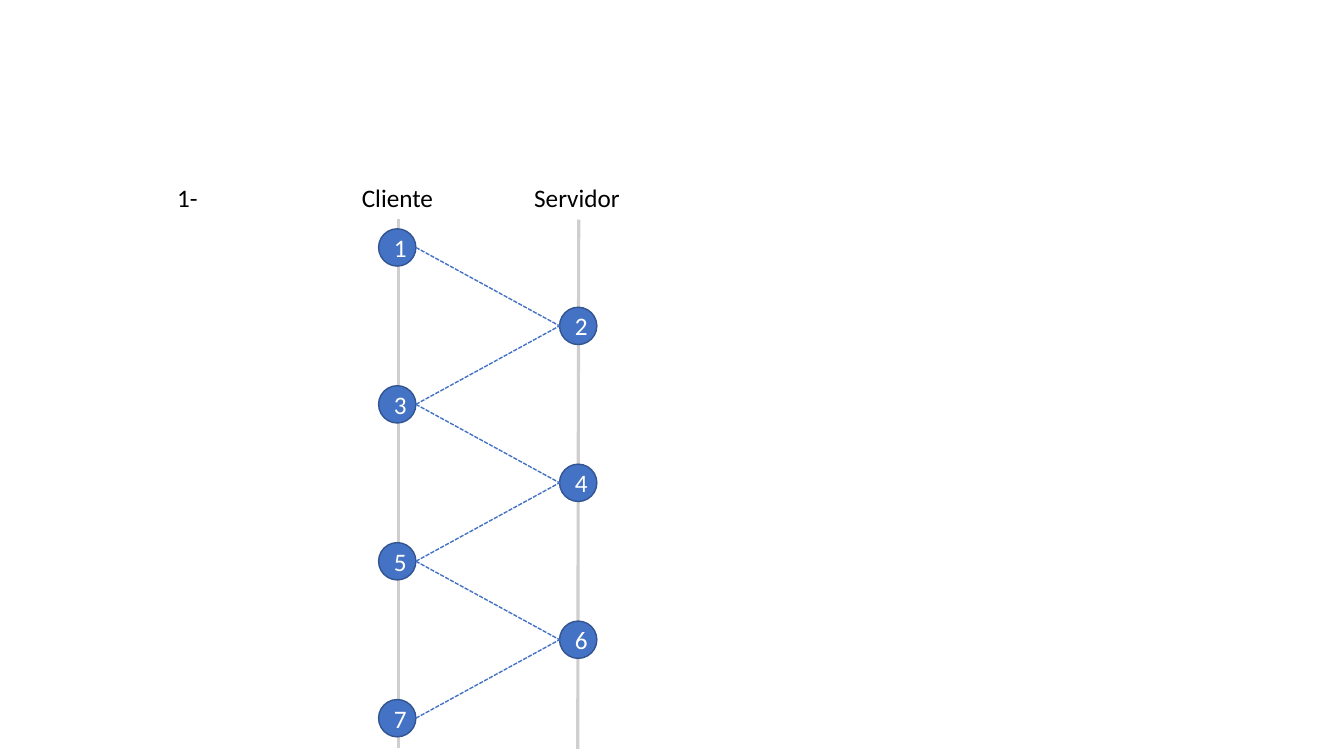
from dataclasses import dataclass
from itertools import pairwise

from pptx import Presentation
from pptx.dml.color import RGBColor
from pptx.enum.dml import MSO_LINE_DASH_STYLE as DASH
from pptx.enum.shapes import MSO_CONNECTOR, MSO_SHAPE
from pptx.enum.text import MSO_ANCHOR, MSO_AUTO_SIZE, PP_ALIGN
from pptx.oxml.ns import qn
from pptx.util import Inches, Pt


@dataclass(frozen=True)
class Theme:
    font: str = "Calibri"
    size: int = 18
    text: str = "000000"
    step_text: str = "FFFFFF"
    step_fill: str = "4472C4"
    step_line: str = "325491"
    lifeline: str = "D0CECE"


THEME = Theme()
DIAMETER = 0.37
CLIENT_X, SERVER_X = 3.94, 5.735  # centres of the two columns
FIRST_Y, LAST_Y = 2.455, 7.125  # centres of the first and last step
STEP_COUNT = 7


def style_text(box, text, color, align):
    para = box.text_frame.paragraphs[0]
    para.alignment = align
    span = para.add_run()
    span.text = text
    formats = {"name": THEME.font, "size": Pt(THEME.size)}
    for name, value in formats.items():
        setattr(span.font, name, value)
    span.font.color.rgb = RGBColor.from_string(color)


def add_label(page, text, left, width):
    box = page.shapes.add_textbox(Inches(left), Inches(1.76), Inches(width), Inches(0.4))
    formats = {"word_wrap": False, "auto_size": MSO_AUTO_SIZE.SHAPE_TO_FIT_TEXT}
    for name, value in formats.items():
        setattr(box.text_frame, name, value)
    style_text(box, text, THEME.text, PP_ALIGN.LEFT)


def add_line(page, start, end, color, width, dash=None):
    points = [Inches(value) for value in (*start, *end)]
    line = page.shapes.add_connector(MSO_CONNECTOR.STRAIGHT, *points)
    line.line.color.rgb = RGBColor.from_string(color)
    line.line.width = Pt(width)
    if dash:
        line.line.dash_style = dash
    properties = line._element.spPr
    properties.append(properties.makeelement(qn("a:effectLst"), {}))


def add_step(page, number, x, y):
    radius = DIAMETER / 2
    circle = page.shapes.add_shape(
        MSO_SHAPE.OVAL, Inches(x - radius), Inches(y - radius),
        Inches(DIAMETER), Inches(DIAMETER))
    circle.shadow.inherit = False
    circle.fill.solid()
    circle.fill.fore_color.rgb = RGBColor.from_string(THEME.step_fill)
    circle.line.color.rgb = RGBColor.from_string(THEME.step_line)
    circle.line.width = Pt(1)
    circle.text_frame.vertical_anchor = MSO_ANCHOR.MIDDLE
    style_text(circle, str(number), THEME.step_text, PP_ALIGN.CENTER)


def add_message(page, source, target):
    # Every message spans from the client's right side to the server's left side
    client, server = sorted((source, target))
    radius = DIAMETER / 2
    add_line(page, (client[0] + radius, client[1]), (server[0] - radius, server[1]),
             THEME.step_fill, 1, DASH.SQUARE_DOT)


def main():
    deck = Presentation()
    deck.slide_width, deck.slide_height = Inches(13.33), Inches(7.5)
    page = deck.slides.add_slide(deck.slide_layouts[6])

    # Lifelines
    add_line(page, (5.74, 2.18), (5.73, 7.43), THEME.lifeline, 2.25)
    add_line(page, (3.95, 2.17), (3.95, 7.42), THEME.lifeline, 2.25)

    # Headings
    for text, left, width in (("1-", 1.66, 0.46), ("Cliente", 3.49, 0.92),
                              ("Servidor", 5.2, 1.06)):
        add_label(page, text, left, width)

    # Steps alternate between client and server at equal gaps
    gap = (LAST_Y - FIRST_Y) / (STEP_COUNT - 1)
    centres = [((CLIENT_X, SERVER_X)[index % 2], FIRST_Y + index * gap)
               for index in range(STEP_COUNT)]
    for number, (x, y) in enumerate(centres, start=1):
        add_step(page, number, x, y)

    # Messages
    for source, target in pairwise(centres):
        add_message(page, source, target)

    deck.save("out.pptx")


if __name__ == "__main__":
    main()
